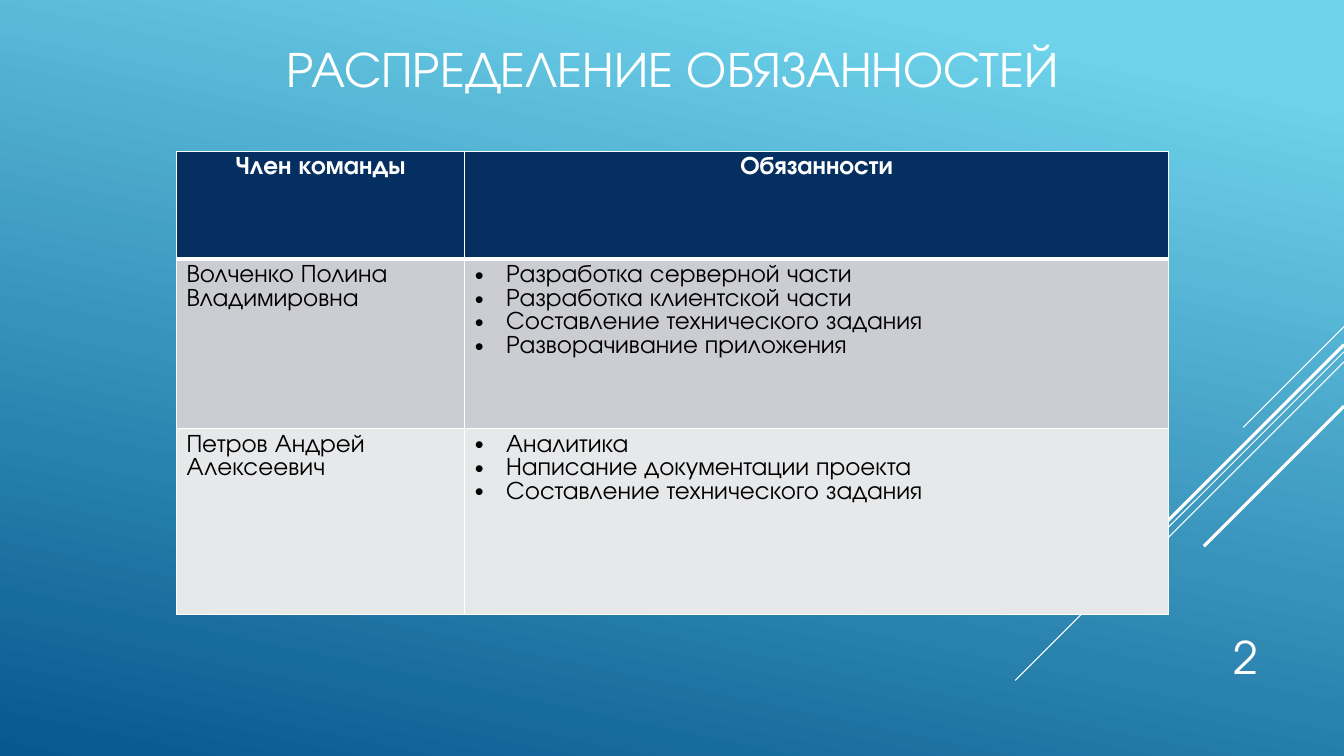
"""Build the slide that shares out the duties of the project team."""
from dataclasses import dataclass

from lxml.etree import SubElement
from pptx import Presentation
from pptx.dml.color import RGBColor
from pptx.enum.shapes import MSO_CONNECTOR
from pptx.enum.text import MSO_ANCHOR as Anchor, MSO_AUTO_SIZE as AutoSize, PP_ALIGN as Align
from pptx.oxml.ns import qn
from pptx.util import Emu, Pt

EMU_PER_PX = 9144
FONT = "TeX Gyre Adventor"
WHITE, BLACK, NAVY = "FFFFFF", "000000", "052F61"
SKY, DEEP_BLUE = "6ED2EB", "06588E"
BAND_FILLS = ("CCCDD2", "E7E8EA")
SLIDE_WIDTH, SLIDE_HEIGHT = 1333, 750
BULLET_INDENT = 31
COLUMN_WIDTHS = (286, 698)
ROW_HEIGHTS = (107, 168, 185)


@dataclass(frozen=True)
class Ray:
    """A diagonal that falls from the right edge, 45 degrees to the left."""
    top: int
    reach: int
    weight: float


@dataclass(frozen=True)
class Member:
    """A team member and the duties assigned."""
    name: str
    duties: tuple[str, ...]


RAYS = (
    Ray(324, 100, 0.75),
    Ray(349, 326, 0.75),
    Ray(359, 207, 0.75),
    Ray(342, 191, 2.25),
    Ray(403, 139, 2.25),
)
HEADINGS = ("Член команды", "Обязанности")
TEAM = (
    Member("Волченко Полина Владимировна", (
        "Разработка серверной части",
        "Разработка клиентской части",
        "Составление технического задания",
        "Разворачивание приложения",
    )),
    Member("Петров Андрей Алексеевич", (
        "Аналитика",
        "Написание документации проекта",
        "Составление технического задания",
    )),
)


def px(length: int) -> Emu:
    """Turn px into EMU."""
    return Emu(length * EMU_PER_PX)


def colour(value: str) -> RGBColor:
    """Turn a hex string into a colour."""
    return RGBColor.from_string(value)


def write(frame, *lines: str, size: float = 18, color: str = BLACK, bold: bool = False,
          align: Align = Align.LEFT, bullet: bool = False) -> None:
    """Fill a text frame with one formatted paragraph per line."""
    for index, line in enumerate(lines):
        para = frame.add_paragraph() if index else frame.paragraphs[0]
        para.alignment = align
        if bullet:
            props = para._p.get_or_add_pPr()
            props.set("marL", str(px(BULLET_INDENT)))
            props.set("indent", str(px(-BULLET_INDENT)))
            SubElement(props, qn("a:buFont"), typeface="Arial")
            SubElement(props, qn("a:buChar"), char="•")
        span = para.add_run()
        span.text = line
        span.font.name, span.font.size, span.font.bold = FONT, Pt(size), bold
        span.font.color.rgb = colour(color)


def paint_background(page) -> None:
    """Give the page its slanted blue gradient."""
    fill = page.background.fill
    fill.gradient()
    fill.gradient_angle = 258
    for stop, position, value in zip(fill.gradient_stops, (0.1, 1), (SKY, DEEP_BLUE)):
        stop.position = position
        stop.color.rgb = colour(value)


def draw_ray(page, ray: Ray) -> None:
    """Draw one white diagonal."""
    line = page.shapes.add_connector(
        MSO_CONNECTOR.STRAIGHT, px(SLIDE_WIDTH), px(ray.top),
        px(SLIDE_WIDTH - ray.reach), px(ray.top + ray.reach))
    line.line.color.rgb = colour(WHITE)
    line.line.width = Pt(ray.weight)
    SubElement(line._element.spPr, qn("a:effectLst"))


def style_cell(cell, fill: str, top: float = 1, bottom: float = 1) -> None:
    """Set the white borders and the fill of a cell."""
    props = cell._tc.get_or_add_tcPr()
    for side, weight in (("L", 1), ("R", 1), ("T", top), ("B", bottom)):
        edge = SubElement(props, qn(f"a:ln{side}"), w=str(Pt(weight)))
        SubElement(SubElement(edge, qn("a:solidFill")), qn("a:srgbClr"), val=WHITE)
    cell.fill.solid()
    cell.fill.fore_color.rgb = colour(fill)


def add_duties(page) -> None:
    """Add the table of team members and duties."""
    table = page.shapes.add_table(
        len(ROW_HEIGHTS), len(COLUMN_WIDTHS), px(175), px(150),
        px(sum(COLUMN_WIDTHS)), px(sum(ROW_HEIGHTS))).table
    for column, width in zip(table.columns, COLUMN_WIDTHS):
        column.width = px(width)
    for row, height in zip(table.rows, ROW_HEIGHTS):
        row.height = px(height)
    for cell, heading in zip(table.rows[0].cells, HEADINGS):
        style_cell(cell, NAVY, bottom=3)
        write(cell.text_frame, heading, color=WHITE, bold=True, align=Align.CENTER)
    for index, (member, fill) in enumerate(zip(TEAM, BAND_FILLS), start=1):
        name_cell, duty_cell = table.rows[index].cells
        for cell in (name_cell, duty_cell):
            style_cell(cell, fill, top=3 if index == 1 else 1)
        write(name_cell.text_frame, member.name)
        write(duty_cell.text_frame, *member.duties, bullet=True)


def place(box, left: int, top: int, width: int, height: int, anchor: Anchor) -> None:
    """Set the position and text anchor of a box."""
    box.left, box.top, box.width, box.height = map(px, (left, top, width, height))
    frame = box.text_frame
    frame.word_wrap = True
    frame.auto_size = AutoSize.NONE
    frame.vertical_anchor = anchor


def main() -> None:
    """Build the deck and save it."""
    deck = Presentation()
    deck.slide_width, deck.slide_height = px(SLIDE_WIDTH), px(SLIDE_HEIGHT)
    page = deck.slides.add_slide(deck.slide_layouts.get_by_name("Title Only"))
    paint_background(page)
    for ray in RAYS:
        draw_ray(page, ray)
    title = page.shapes.title
    place(title, 234, 10, 866, 113, Anchor.MIDDLE)
    write(title.text_frame, "РАСПРЕДЕЛЕНИЕ ОБЯЗАННОСТЕЙ", size=36, color=WHITE, align=Align.CENTER)
    number = page.shapes.add_textbox(0, 0, 0, 0)
    place(number, 1133, 610, 125, 73, Anchor.BOTTOM)
    write(number.text_frame, "2", size=32, color=WHITE, align=Align.RIGHT)
    add_duties(page)
    deck.save("out.pptx")


if __name__ == "__main__":
    main()
